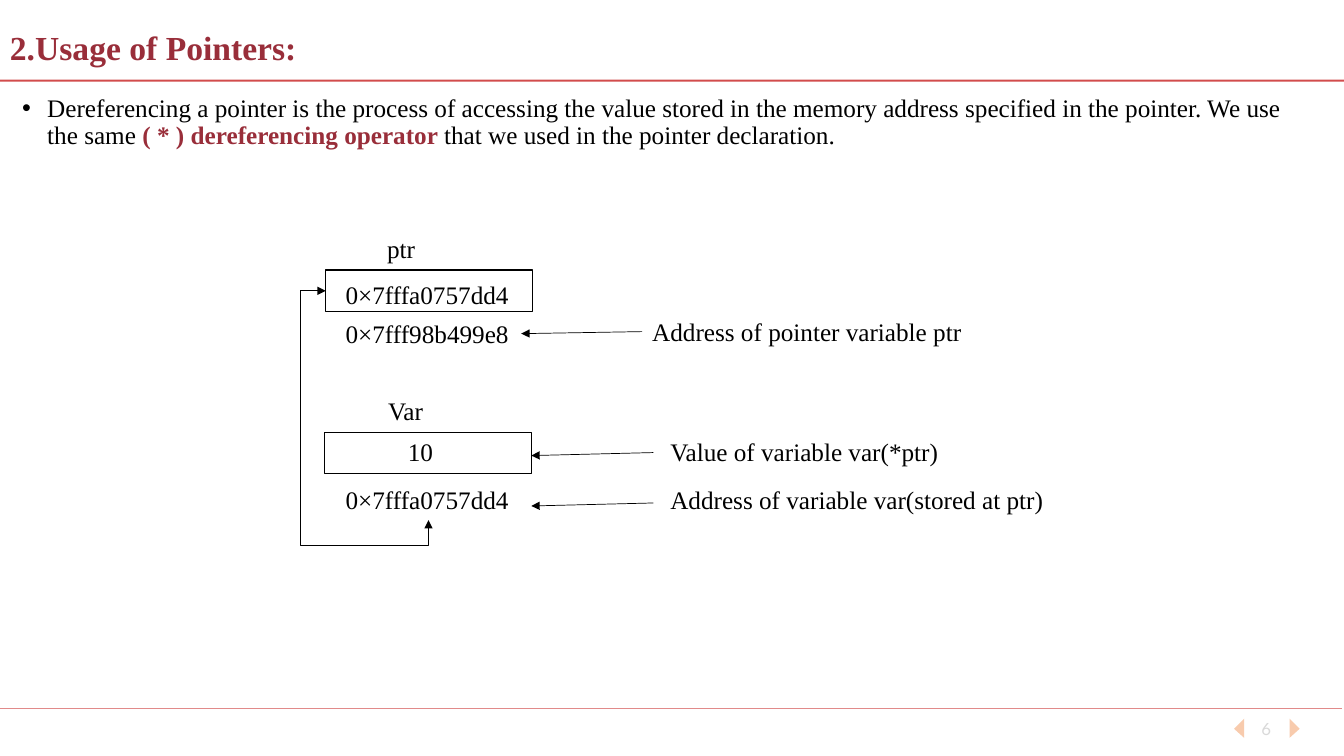
from lxml import etree
from pptx import Presentation
from pptx.dml.color import RGBColor
from pptx.enum.shapes import MSO_CONNECTOR as Link, MSO_SHAPE as Shape
from pptx.enum.text import MSO_ANCHOR as Anchor, PP_ALIGN as Align
from pptx.oxml.ns import qn
from pptx.util import Inches, Pt

BLACK = "000000"
CRIMSON = "992E3A"
RULE_RED = "C00000"
PEACH = "F8CBAD"
PALE_GREY = "D9D9D9"
SERIF = "Times New Roman"


def color(hex_code):
    return RGBColor.from_string(hex_code)


def add_run(para, text, size=18, font=SERIF, hex_code=BLACK, bold=False):
    span = para.add_run()
    span.text = text
    span.font.size = Pt(size)
    span.font.name = font
    span.font.bold = bold
    span.font.color.rgb = color(hex_code)


def add_box(page, left, top, width, height=0.4, anchor=Anchor.TOP, wrap=True):
    """Add an empty text box; return it with its first paragraph."""
    box = page.shapes.add_textbox(
        Inches(left), Inches(top), Inches(width), Inches(height))
    box.text_frame.word_wrap = wrap
    box.text_frame.vertical_anchor = anchor
    return box, box.text_frame.paragraphs[0]


def add_label(page, text, left, top, width, align=Align.LEFT):
    box, para = add_box(page, left, top, width, wrap=False)
    para.alignment = align
    add_run(para, text)
    return box


def add_cell(page, left, top):
    """Outline one memory cell."""
    cell = page.shapes.add_shape(
        Shape.RECTANGLE, Inches(left), Inches(top), Inches(2.05), Inches(0.41))
    cell.shadow.inherit = False
    cell.fill.background()
    cell.line.color.rgb = color(BLACK)
    cell.line.width = Pt(1)
    return cell


def add_line(page, start, end, hex_code=BLACK, width=0.5, kind=Link.STRAIGHT):
    line = page.shapes.add_connector(
        kind, *(Inches(value) for value in (*start, *end)))
    line.line.color.rgb = color(hex_code)
    line.line.width = Pt(width)
    properties = line._element.spPr
    etree.SubElement(properties, qn("a:effectLst"))
    return line


def add_arrowheads(line, *ends):
    """Put triangles on the given ends: headEnd (start), tailEnd (finish)."""
    outline = line.line._get_or_add_ln()
    for end in ends:
        etree.SubElement(outline, qn(f"a:{end}"), type="triangle")


def add_rule(page, y, right, width):
    rule = add_line(page, (0, y), (right, y), RULE_RED, width)
    tint = rule._element.spPr.find(f".//{qn('a:srgbClr')}")
    etree.SubElement(tint, qn("a:alpha"), val="70000")


def add_page_arrow(page, base_x, tip_x):
    outline = page.shapes.build_freeform(Inches(base_x), Inches(7.13))
    outline.add_line_segments(
        [(Inches(tip_x), Inches(7.23)), (Inches(base_x), Inches(7.32))])
    arrow = outline.convert_to_shape()
    arrow.shadow.inherit = False
    arrow.fill.solid()
    arrow.fill.fore_color.rgb = color(PEACH)
    arrow.line.fill.background()


def add_address_link(page, cell, address):
    """Route a double arrow from the pointer cell round to the address."""
    link = add_line(page, (3.23, 2.88), (4.25, 5.16), kind=Link.ELBOW)
    link.begin_connect(cell, 1)
    link.end_connect(address, 2)
    geometry = link._element.spPr.find(qn("a:prstGeom"))
    geometry.set("prst", "bentConnector4")
    guides = geometry.get_or_add_avLst()
    for name, value in (("adj1", -24500), ("adj2", 110900)):
        etree.SubElement(guides, qn("a:gd"), name=name, fmla=f"val {value}")
    add_arrowheads(link, "headEnd", "tailEnd")


def add_frame(page):
    """Add the title, the rules and the page number."""
    _, title = add_box(page, 0, 0.2, 12.18, 0.58, Anchor.MIDDLE)
    title.line_spacing = 0.9
    add_run(title, "2.Usage of Pointers:", 24, hex_code=CRIMSON, bold=True)
    add_rule(page, 0.8, 13.33, 1.5)
    add_rule(page, 7.03, 13.31, 0.5)
    _, number = add_box(page, 12.28, 7.03, 0.56, anchor=Anchor.MIDDLE)
    number.alignment = Align.CENTER
    add_run(number, "6", 12, "Lato", PALE_GREY)
    add_page_arrow(page, 12.79, 12.89)
    add_page_arrow(page, 12.34, 12.24)


def add_explanation(page):
    _, para = add_box(page, 0.12, 0.9, 12.89, 5.99)
    para.line_spacing = 0.9
    para.space_before = Pt(10)
    layout = para._p.get_or_add_pPr()
    layout.set("marL", str(Inches(0.25)))
    layout.set("indent", str(Inches(-0.25)))
    etree.SubElement(layout, qn("a:buFont"), typeface="Arial")
    etree.SubElement(layout, qn("a:buChar"), char="•")
    add_run(para, "Dereferencing a pointer is the process of accessing the value "
                  "stored in the memory address specified in the pointer. "
                  "We use the same ")
    add_run(para, "( * ) dereferencing operator ", hex_code=CRIMSON, bold=True)
    add_run(para, "that we used in the pointer declaration.")


def add_memory_diagram(page):
    add_label(page, "ptr", 3.74, 2.27, 0.92)
    pointer_cell = add_cell(page, 3.23, 2.68)
    add_label(page, "0×7fffa0757dd4", 3.33, 2.72, 1.84)
    pointer_address = add_label(page, "0×7fff98b499e8", 3.33, 3.11, 1.84)
    pointer_note = add_label(
        page, "Address of pointer variable ptr", 6.37, 3.09, 3.33)

    add_label(page, "Var", 3.75, 3.87, 0.92)
    add_cell(page, 3.22, 4.29)
    add_label(page, "10", 3.25, 4.28, 1.84, Align.CENTER)
    variable_address = add_label(page, "0×7fffa0757dd4", 3.33, 4.76, 1.84)
    add_label(page, "Value of variable var(*ptr)", 6.55, 4.28, 2.87)
    add_label(page, "Address of variable var(stored at ptr)", 6.55, 4.76, 3.97)

    pointer_arrow = add_line(page, (6.37, 3.29), (5.17, 3.31))
    pointer_arrow.begin_connect(pointer_note, 1)
    pointer_arrow.end_connect(pointer_address, 3)
    add_arrowheads(pointer_arrow, "tailEnd")
    for y in (4.49, 4.99):
        arrow = add_line(page, (6.48, y), (5.27, y + 0.03))
        add_arrowheads(arrow, "tailEnd")
    add_address_link(page, pointer_cell, variable_address)


def main():
    deck = Presentation()
    deck.slide_width = Inches(13.33)
    deck.slide_height = Inches(7.5)
    page = deck.slides.add_slide(deck.slide_layouts[6])
    add_frame(page)
    add_explanation(page)
    add_memory_diagram(page)
    deck.save("out.pptx")


if __name__ == "__main__":
    main()
